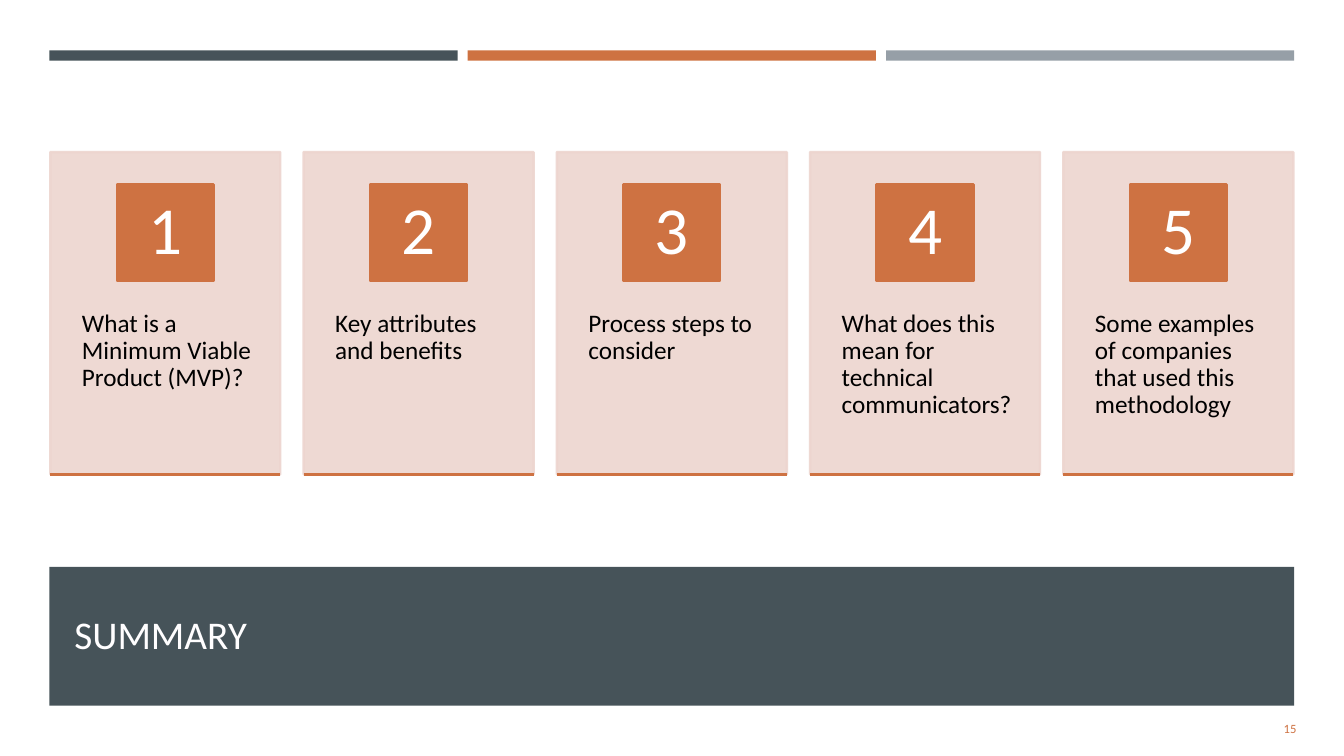
from lxml.etree import SubElement
from pptx import Presentation
from pptx.dml.color import RGBColor
from pptx.enum.shapes import MSO_CONNECTOR as Connector, MSO_SHAPE as Shape
from pptx.enum.text import MSO_ANCHOR as Anchor, PP_ALIGN as Align
from pptx.oxml.ns import qn
from pptx.util import Pt

SLATE, ORANGE, GREY, BLUSH = "465359", "CE7242", "969FA7", "EDD5CF"
LEFT = 36


def paint(color_format, color, opacity=100):
    """Make a fill solid in a hex colour, with opacity in percent."""
    color_format.solid()
    color_format.fore_color.rgb = RGBColor.from_string(color)
    if opacity < 100:
        tint = color_format._xPr.find(qn("a:solidFill"))[0]
        SubElement(tint, qn("a:alpha"), val=str(opacity * 1000))


def write(box, text, size, color, anchor=Anchor.MIDDLE, insets=(7.2, 3.6, 7.2, 3.6), **para_format):
    """Fill a shape with one paragraph; insets run left, top, right, bottom."""
    frame = box.text_frame
    frame.word_wrap = True
    frame.vertical_anchor = anchor
    for side, inset in zip(("left", "top", "right", "bottom"), insets):
        setattr(frame, f"margin_{side}", Pt(inset))
    para = frame.paragraphs[0]
    for name, value in para_format.items():
        setattr(para, name, value)
    span = para.add_run()
    span.text = text
    span.font.name = "Calibri"
    span.font.size = Pt(size)
    paint(span.font.fill, color)


deck = Presentation()
deck.slide_width, deck.slide_height = Pt(960), Pt(540)
page = deck.slides.add_slide(deck.slide_layouts[6])
shapes = page.shapes

# Top bars and title band
bars = [(35.3 + 298.8 * i, 36, 291.6, 7.4, color) for i, color in enumerate((SLATE, ORANGE, GREY))]
for left, top, width, height, color in bars + [(35.3, 404.9, 889.2, 99.2, SLATE)]:
    block = shapes.add_shape(Shape.RECTANGLE, Pt(left), Pt(top), Pt(width), Pt(height))
    block.shadow.inherit = False
    paint(block.fill, color)
    block.line.fill.background()

title = shapes.add_textbox(Pt(46.1), Pt(414.7), Pt(868.3), Pt(75.6))
write(title, "SUMMARY", 28, "FFFEFF")

page_number = shapes.add_textbox(Pt(850.3), Pt(506.2), Pt(82.8), Pt(28.8))
write(page_number, "15", 9, ORANGE, alignment=Align.RIGHT, space_after=Pt(6))

# Numbered cards
CARD_TOP, CARD_WIDTH, CARD_HEIGHT, CARD_STEP = 108.6, 164.2, 230.2, 180.9
BADGE_TOP, BADGE_SIZE = 131.8, 69.1
topics = [
    "What is a Minimum Viable Product (MVP)?",
    "Key attributes and benefits",
    "Process steps to consider",
    "What does this mean for technical communicators?",
    "Some examples of companies that used this methodology",
]
for number, topic in enumerate(topics, 1):
    left = LEFT + CARD_STEP * (number - 1)
    badge_left = left + (CARD_WIDTH - BADGE_SIZE) / 2

    card = shapes.add_shape(Shape.RECTANGLE, Pt(left), Pt(CARD_TOP), Pt(CARD_WIDTH), Pt(CARD_HEIGHT))
    badge = shapes.add_shape(Shape.RECTANGLE, Pt(badge_left), Pt(BADGE_TOP), Pt(BADGE_SIZE), Pt(BADGE_SIZE))
    for box, color, opacity in ((card, BLUSH, 90), (badge, ORANGE, 100)):
        box.shadow.inherit = False
        paint(box.fill, color, opacity)
        paint(box.line.fill, color, opacity)
        box.line.width = Pt(1.75)
    write(card, topic, 18, "000000", Anchor.TOP, (22.5, 113.1, 12.8, 0),
          alignment=Align.LEFT, line_spacing=0.9)
    write(badge, str(number), 48, "FFFFFF", insets=(5, 0.9, 5, 0.9),
          alignment=Align.CENTER, line_spacing=0.9)

    base_y = CARD_TOP + CARD_HEIGHT
    base = shapes.add_connector(Connector.STRAIGHT, Pt(left), Pt(base_y), Pt(left + CARD_WIDTH), Pt(base_y))
    paint(base.line.fill, ORANGE)
    base.line.width = Pt(1.75)
    SubElement(base._element.spPr, qn("a:effectLst"))

deck.save("out.pptx")
